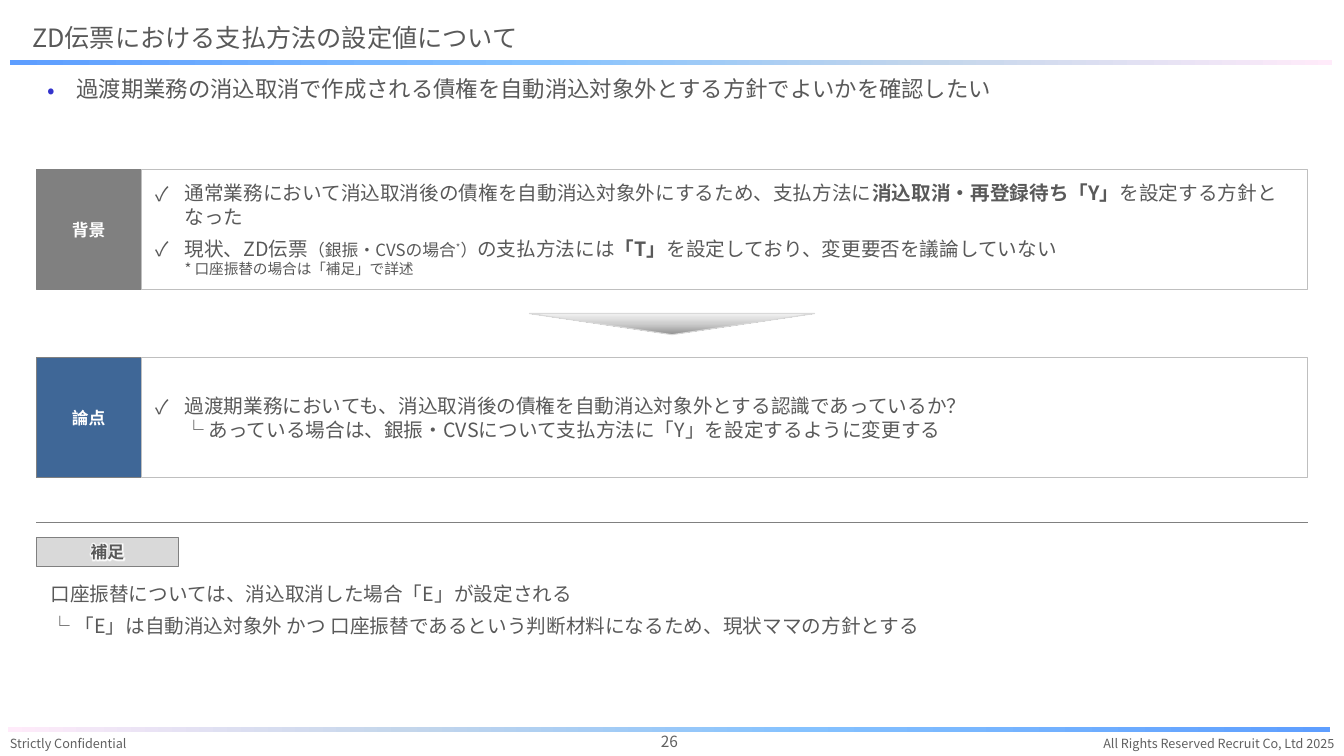
import pptx
import pptx.util
import pptx.dml.color
import pptx.enum.shapes
import pptx.enum.text
import pptx.oxml
import pptx.oxml.ns
import lxml.etree

Inches = pptx.util.Inches
Pt = pptx.util.Pt
RGB = pptx.dml.color.RGBColor
SHAPE = pptx.enum.shapes.MSO_SHAPE
ALIGN = pptx.enum.text.PP_ALIGN
ANCHOR = pptx.enum.text.MSO_ANCHOR
qn = pptx.oxml.ns.qn

FONT = "Noto Sans CJK JP"
TEXT = RGB(0x59, 0x59, 0x59)
FOOTER = RGB(0x60, 0x60, 0x60)
WHITE = RGB(0xFF, 0xFF, 0xFF)
GRAY = RGB(0x80, 0x80, 0x80)
BLUE = RGB(0x3F, 0x67, 0x97)
BORDER = RGB(0xBF, 0xBF, 0xBF)
PALE = RGB(0xD9, 0xD9, 0xD9)
BULLET = RGB(0x33, 0x33, 0xCC)
BAND = [(0, RGB(0x5E, 0x9E, 0xFF)), (40, RGB(0x85, 0xC2, 0xFF)),
        (70, RGB(0xC4, 0xD6, 0xEB)), (100, RGB(0xFF, 0xEB, 0xFA))]
ARROW = [(0, RGB(0x90, 0x90, 0x90)), (50, RGB(0xCC, 0xCC, 0xCC)),
         (100, RGB(0xF2, 0xF2, 0xF2))]

WIDTH, HEIGHT = 13.33, 7.5
LEFT, CONTENT_W = 0.36, 12.61
LABEL_W, ROW_H = 1.04, 1.19
SMALL_INSET = (0.04, 0.04, 0.04, 0.04)


def add_shape(s, kind, box, fill=None, line=None):
    """Add a shadowless preset shape with optional fill and outline."""
    sp = s.shapes.add_shape(kind, *map(Inches, box))
    sp.shadow.inherit = False
    if fill is not None:
        sp.fill.solid()
        sp.fill.fore_color.rgb = fill
    if line is None:
        sp.line.fill.background()
    else:
        sp.line.color.rgb = line
        sp.line.width = Pt(0.75)
    return sp


def set_gradient(sp, stops, angle):
    """Fill a shape with a linear gradient of several stops."""
    sp.fill.gradient()
    grad = sp._element.spPr.find(qn("a:gradFill"))
    gs_list = grad.find(qn("a:gsLst"))
    for gs in list(gs_list):
        gs_list.remove(gs)
    for pos, color in stops:
        gs = lxml.etree.SubElement(gs_list, qn("a:gs"), pos=str(pos * 1000))
        lxml.etree.SubElement(gs, qn("a:srgbClr"), val=str(color))
    grad.find(qn("a:lin")).set("ang", str(angle * 60000))


def set_frame(sp, anchor=ANCHOR.TOP, inset=(0.1, 0.05, 0.1, 0.05), wrap=True):
    """Set anchor, insets and wrapping, and return the text frame."""
    tf = sp.text_frame
    tf.word_wrap = wrap
    tf.vertical_anchor = anchor
    tf.margin_left, tf.margin_top, tf.margin_right, tf.margin_bottom = map(Inches, inset)
    return tf


def set_indent(p, left, hanging=0, bullet=None, color=None):
    """Indent a paragraph and give it a bullet if there is one."""
    pPr = p._p.get_or_add_pPr()
    pPr.set("marL", str(Inches(left)))
    pPr.set("indent", str(-Inches(hanging)))
    if color is not None:
        clr = lxml.etree.SubElement(pPr, qn("a:buClr"))
        lxml.etree.SubElement(clr, qn("a:srgbClr"), val=str(color))
    if bullet:
        lxml.etree.SubElement(pPr, qn("a:buFont"), typeface=FONT)
        lxml.etree.SubElement(pPr, qn("a:buChar"), char=bullet)


def add_run(p, text, size, color=TEXT, bold=False, raised=False):
    """Add one run with its latin and East Asian font."""
    r = p.add_run()
    r.text = text
    r.font.size = Pt(size)
    r.font.bold = bold
    r.font.color.rgb = color
    r.font.name = FONT
    rPr = r._r.get_or_add_rPr()
    lxml.etree.SubElement(rPr, qn("a:ea"), typeface=FONT)
    if raised:
        rPr.set("baseline", "30000")
    return r


def add_text(s, box, text, size, color=TEXT, align=ALIGN.LEFT, anchor=ANCHOR.TOP, wrap=True):
    """Add a one-paragraph text box and return the paragraph."""
    sp = s.shapes.add_textbox(*map(Inches, box))
    p = set_frame(sp, anchor, wrap=wrap).paragraphs[0]
    p.alignment = align
    add_run(p, text, size, color)
    return p


def add_label(s, box, text, fill, color=WHITE):
    """Add a filled label with centred bold text."""
    sp = add_shape(s, SHAPE.RECTANGLE, box, fill, GRAY)
    p = set_frame(sp, ANCHOR.MIDDLE, wrap=False).paragraphs[0]
    p.alignment = ALIGN.CENTER
    return add_run(p, text, 12, color, True)


def add_panel(s, box, paragraphs, line=None, bullet=None):
    """Add a white panel of paragraphs, each a list of lines of runs."""
    sp = add_shape(s, SHAPE.RECTANGLE, box, WHITE, line)
    tf = set_frame(sp, ANCHOR.MIDDLE, SMALL_INSET)
    for i, lines in enumerate(paragraphs):
        p = tf.add_paragraph() if i else tf.paragraphs[0]
        p.alignment = ALIGN.LEFT
        if i:
            p.space_before = Pt(6)
        if bullet:
            set_indent(p, 0.39, 0.29, bullet)
        else:
            set_indent(p, 0.1)
        for j, runs in enumerate(lines):
            if j:
                p.add_line_break()
            for text, size, *style in runs:
                add_run(p, text, size, TEXT, "bold" in style, "raised" in style)


def add_row(s, top, label, fill, paragraphs):
    """Add a label and the checklist panel to its right."""
    add_label(s, (LEFT, top, LABEL_W, ROW_H), label, fill)
    add_panel(s, (LEFT + LABEL_W, top, CONTENT_W - LABEL_W, ROW_H), paragraphs, BORDER, "✓")


def add_header(s):
    """Add the title, its band and the key message."""
    band = add_shape(s, SHAPE.RECTANGLE, (0.1, 0.6, 13.11, 0.05))
    set_gradient(band, BAND, 0)
    add_text(s, (0.22, 0.17, 10.86, 0.41), "ZD伝票における支払方法の設定値について", 18,
             anchor=ANCHOR.MIDDLE)
    p = add_text(s, (0.37, 0.7, 12.6, 0.46),
                 "過渡期業務の消込取消で作成される債権を自動消込対象外とする方針でよいかを確認したい", 16)
    set_indent(p, 0.29, 0.29, "•", BULLET)


def add_footer(s, top):
    """Add the footer band, notices and page number."""
    band = add_shape(s, SHAPE.RECTANGLE, (0.08, top - 0.04, 13.11, 0.05))
    set_gradient(band, [(100 - pos, color) for pos, color in reversed(BAND)], 0)
    add_text(s, (0, top, 1.4, 0.25), "Strictly Confidential", 9, FOOTER, wrap=False)
    add_text(s, (WIDTH - 2.71, top, 2.71, 0.25), "All Rights Reserved Recruit Co, Ltd 2025", 9,
             FOOTER, ALIGN.RIGHT, wrap=False)
    add_text(s, (5.25, top, 2.78, 0.25), "26", 11, FOOTER, ALIGN.CENTER, ANCHOR.BOTTOM)


def add_arrow(s, box):
    """Add the wide triangle that points down to the next row."""
    sp = add_shape(s, SHAPE.ISOSCELES_TRIANGLE, box, line=PALE)
    set_gradient(sp, ARROW, 90)
    sp.rotation = 180


def add_supplement(s, top):
    """Add the divider, the supplement label and its text."""
    line = s.shapes.add_connector(pptx.enum.shapes.MSO_CONNECTOR.STRAIGHT,
                                  *map(Inches, (LEFT, top, LEFT + CONTENT_W, top)))
    line.line.color.rgb = GRAY
    line.line.width = Pt(0.75)
    lxml.etree.SubElement(line._element.spPr, qn("a:effectLst"))
    add_panel(s, (LEFT, top + 0.44, CONTENT_W, 0.85), [
        [[("口座振替については、消込取消した場合「E」が設定される", 14)]],
        [[("└ 「E」は自動消込対象外 かつ 口座振替であるという判断材料になるため、現状ママの方針とする", 14)]]])
    r = add_label(s, (LEFT, top + 0.15, 1.41, 0.29), "補足", PALE, TEXT)
    effects = lxml.etree.Element(qn("a:effectLst"))
    glow = lxml.etree.SubElement(effects, qn("a:glow"), rad=str(Pt(4)))
    lxml.etree.SubElement(glow, qn("a:srgbClr"), val=str(WHITE))
    r._r.rPr.find(qn("a:latin")).addprevious(effects)


def main():
    """Build the slide and save it."""
    prs = pptx.Presentation()
    prs.slide_width, prs.slide_height = Inches(WIDTH), Inches(HEIGHT)
    s = prs.slides.add_slide(prs.slide_layouts[6])
    add_header(s)
    add_row(s, 1.68, "背景", GRAY, [
        [[("通常業務において消込取消後の債権を自動消込対象外にするため、支払方法に", 14),
          ("消込取消・再登録待ち「Y」", 14, "bold"), ("を設定する方針となった", 14)]],
        [[("現状、ZD伝票", 14), ("（銀振・CVSの場合", 12), ("*", 12, "raised"), ("）", 12),
          ("の支払方法には", 14), ("「T」", 14, "bold"),
          ("を設定しており、変更要否を議論していない", 14)],
         [("* 口座振替の場合は「補足」で詳述", 10.5)]]])
    add_arrow(s, (5.25, 3.11, 2.83, 0.21))
    add_row(s, 3.55, "論点", BLUE, [
        [[("過渡期業務においても、消込取消後の債権を自動消込対象外とする認識であっているか？", 14)],
         [("└ あっている場合は、銀振・CVSについて支払方法に「Y」を設定するように変更する", 14)]]])
    add_supplement(s, 5.18)
    add_footer(s, HEIGHT - 0.25)
    prs.save("out.pptx")


if __name__ == "__main__":
    main()
